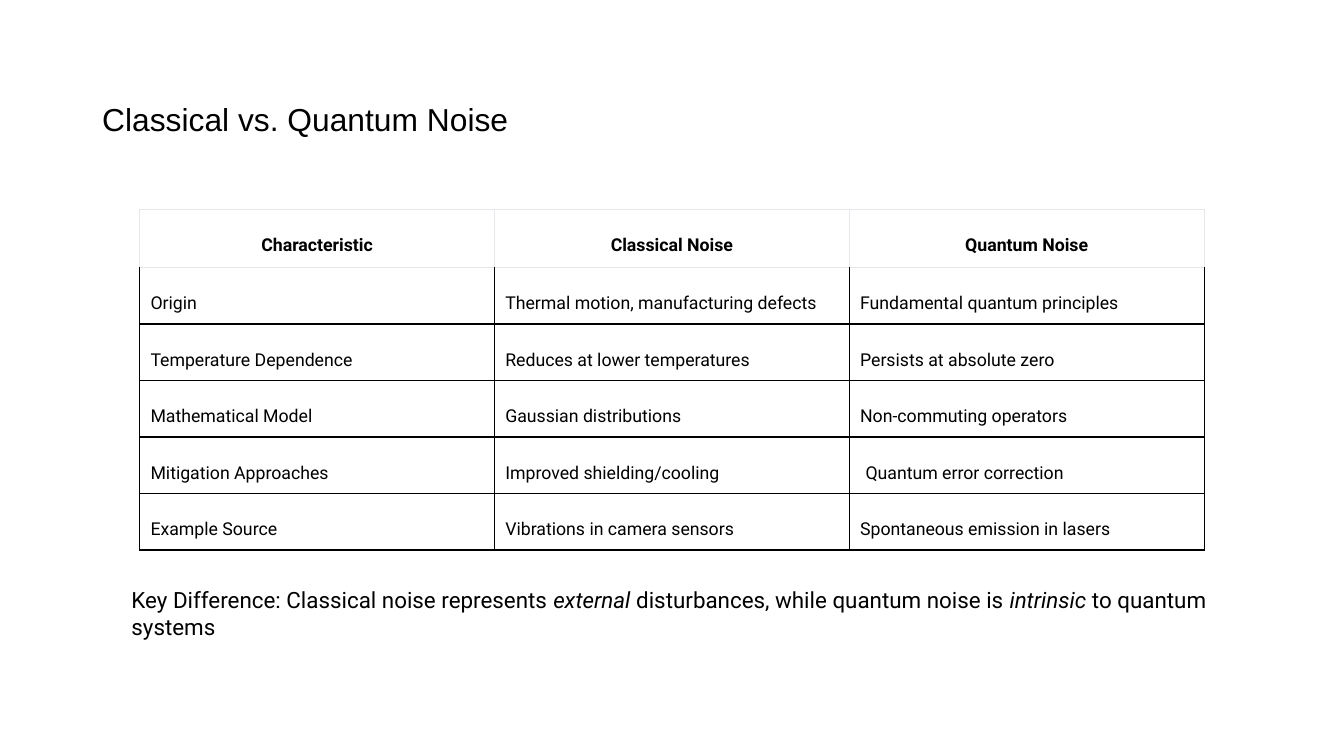
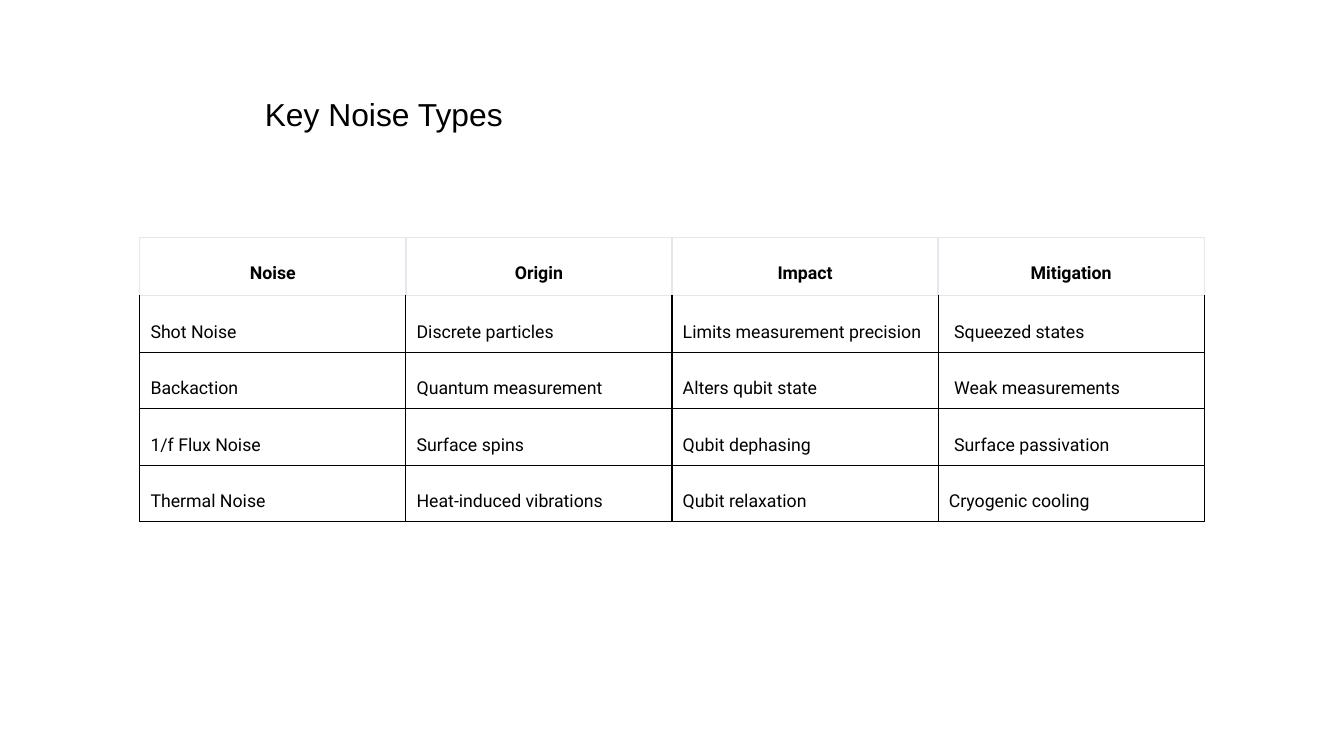
from lxml.etree import SubElement
from pptx import Presentation
from pptx.dml.color import RGBColor
from pptx.enum.text import MSO_ANCHOR, MSO_AUTO_SIZE, PP_ALIGN
from pptx.oxml.ns import qn
from pptx.util import Inches, Pt

BLACK = RGBColor(0x00, 0x00, 0x00)
WHITE = RGBColor(0xFF, 0xFF, 0xFF)
PALE_GRAY = RGBColor(0xE5, 0xE7, 0xEB)

TITLE_FONT = "Arial"
BODY_FONT = "Roboto"
TITLE_ONLY_LAYOUT = 5

TABLE_LEFT = 1.04
TABLE_WIDTH = 7.92
ROW_HEIGHT = 0.42
HEADER_LINE = 0.75

NOISE_COMPARISON = [
    ["Characteristic", "Classical Noise", "Quantum Noise"],
    ["Origin", "Thermal motion, manufacturing defects", "Fundamental quantum principles"],
    ["Temperature Dependence", "Reduces at lower temperatures", "Persists at absolute zero"],
    ["Mathematical Model", "Gaussian distributions", "Non-commuting operators"],
    ["Mitigation Approaches", "Improved shielding/cooling", "Quantum error correction"],
    ["Example Source", "Vibrations in camera sensors", "Spontaneous emission in lasers"],
]
NOISE_TYPES = [
    ["Noise", "Origin", "Impact", "Mitigation"],
    ["Shot Noise", "Discrete particles", "Limits measurement precision", "Squeezed states"],
    ["Backaction", "Quantum measurement", "Alters qubit state", "Weak measurements"],
    ["1/f Flux Noise", "Surface spins", "Qubit dephasing", "Surface passivation"],
    ["Thermal Noise", "Heat-induced vibrations", "Qubit relaxation", "Cryogenic cooling"],
]
INDENTED = {
    "Quantum error correction", "Squeezed states", "Weak measurements", "Surface passivation",
}


class NoiseDeck:
    def __init__(self):
        self.deck = Presentation()
        self.deck.slide_width = Inches(10)
        self.deck.slide_height = Inches(10) * 9 // 16
        self.slide = None

    def add_slide(self):
        layout = self.deck.slide_layouts[TITLE_ONLY_LAYOUT]
        self.slide = self.deck.slides.add_slide(layout)
        fill = self.slide.background.fill
        fill.solid()
        fill.fore_color.rgb = WHITE

    def add_run(self, para, text, font, size, bold=False, italic=False):
        span = para.add_run()
        span.text = text
        span.font.name = font
        span.font.size = Pt(size)
        span.font.bold = bold
        span.font.italic = italic
        span.font.color.rgb = BLACK

    def space(self, para, line, before, after):
        para.line_spacing = line
        para.space_before = Pt(before)
        para.space_after = Pt(after)

    def prepare_frame(self, box):
        """Give a text shape the shared insets, wrapping and growth; return its first paragraph."""
        frame = box.text_frame
        frame.margin_left = frame.margin_right = Inches(0.1)
        frame.margin_top = frame.margin_bottom = Inches(0.1)
        frame.vertical_anchor = MSO_ANCHOR.TOP
        frame.word_wrap = True
        frame.auto_size = MSO_AUTO_SIZE.SHAPE_TO_FIT_TEXT
        para = frame.paragraphs[0]
        para.alignment = PP_ALIGN.LEFT
        return para

    def title(self, text, left, top, width):
        box = self.slide.shapes.title
        box.left, box.top = Inches(left), Inches(top)
        box.width, box.height = Inches(width), Inches(0.49)
        para = self.prepare_frame(box)
        self.space(para, 1.15, 18, 4)
        self.add_run(para, text, TITLE_FONT, 17)

    def note(self, left, top, width, height, spans):
        """Add a text box from (text, italic) pairs."""
        box = self.slide.shapes.add_textbox(
            Inches(left), Inches(top), Inches(width), Inches(height))
        para = self.prepare_frame(box)
        for text, italic in spans:
            self.add_run(para, text, BODY_FONT, 12, italic=italic)

    def set_borders(self, cell, edges):
        """Draw cell edges from a mapping of side (L, R, T, B) to (colour, points)."""
        properties = cell._tc.get_or_add_tcPr()
        for index, side in enumerate("LRTB"):
            color, width = edges[side]
            line = SubElement(properties, qn(f"a:ln{side}"), w=str(Pt(width)))
            fill = SubElement(line, qn("a:solidFill"))
            SubElement(fill, qn("a:srgbClr"), val=str(color))
            properties.insert(index, line)

    def fill_cell(self, cell, text, header):
        cell.fill.background()
        cell.margin_left = cell.margin_right = cell.margin_top = Inches(0.08)
        cell.margin_bottom = Inches(0.08 if header else 0.07)
        cell.vertical_anchor = MSO_ANCHOR.TOP if header else MSO_ANCHOR.MIDDLE
        para = cell.text_frame.paragraphs[0]
        para.alignment = PP_ALIGN.CENTER if header else PP_ALIGN.LEFT
        self.space(para, 1.71, 11, 11)
        if text in INDENTED:
            properties = para._p.get_or_add_pPr()
            properties.set("marL", str(Inches(0.04)))
            properties.set("indent", "0")
        self.add_run(para, text, BODY_FONT, 9.5, bold=header)

    def table(self, top, rows, line_width):
        columns = len(rows[0])
        table = self.slide.shapes.add_table(
            len(rows), columns, Inches(TABLE_LEFT), Inches(top),
            Inches(TABLE_WIDTH), Inches(ROW_HEIGHT * len(rows))).table
        table.first_row = table.horz_banding = False
        for column in table.columns:
            column.width = Inches(TABLE_WIDTH / columns)
        header_edges = dict.fromkeys("LRT", (PALE_GRAY, HEADER_LINE))
        header_edges["B"] = (PALE_GRAY, line_width)
        body_edges = dict.fromkeys("LRTB", (BLACK, line_width))
        first_body_edges = {**body_edges, "T": header_edges["B"]}
        for row, texts in enumerate(rows):
            table.rows[row].height = Inches(ROW_HEIGHT)
            edges = {0: header_edges, 1: first_body_edges}.get(row, body_edges)
            for column, text in enumerate(texts):
                cell = table.cell(row, column)
                self.fill_cell(cell, text, header=row == 0)
                self.set_borders(cell, edges)


def main():
    noise = NoiseDeck()

    noise.add_slide()
    noise.title("Classical vs. Quantum Noise", 0.66, 0.6, 5.18)
    noise.table(1.56, NOISE_COMPARISON, 0.75)
    noise.note(0.88, 4.26, 8.46, 0.61, [
        ("Key Difference: Classical noise represents ", False),
        ("external", True),
        (" disturbances, while quantum noise is ", False),
        ("intrinsic", True),
        (" to quantum systems", False),
    ])

    noise.add_slide()
    noise.title("Key Noise Types", 1.87, 0.56, 3.28)
    noise.table(1.77, NOISE_TYPES, 0.68)

    noise.deck.save("out.pptx")


if __name__ == "__main__":
    main()
